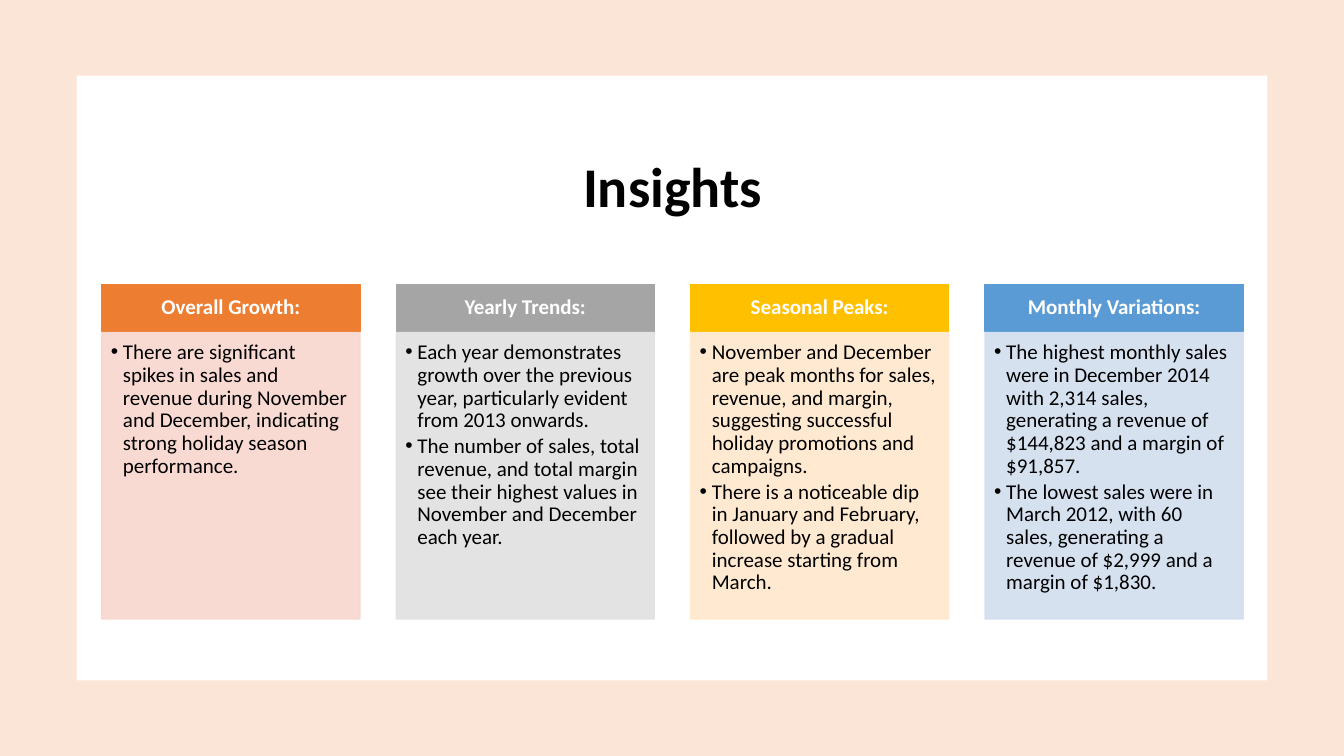
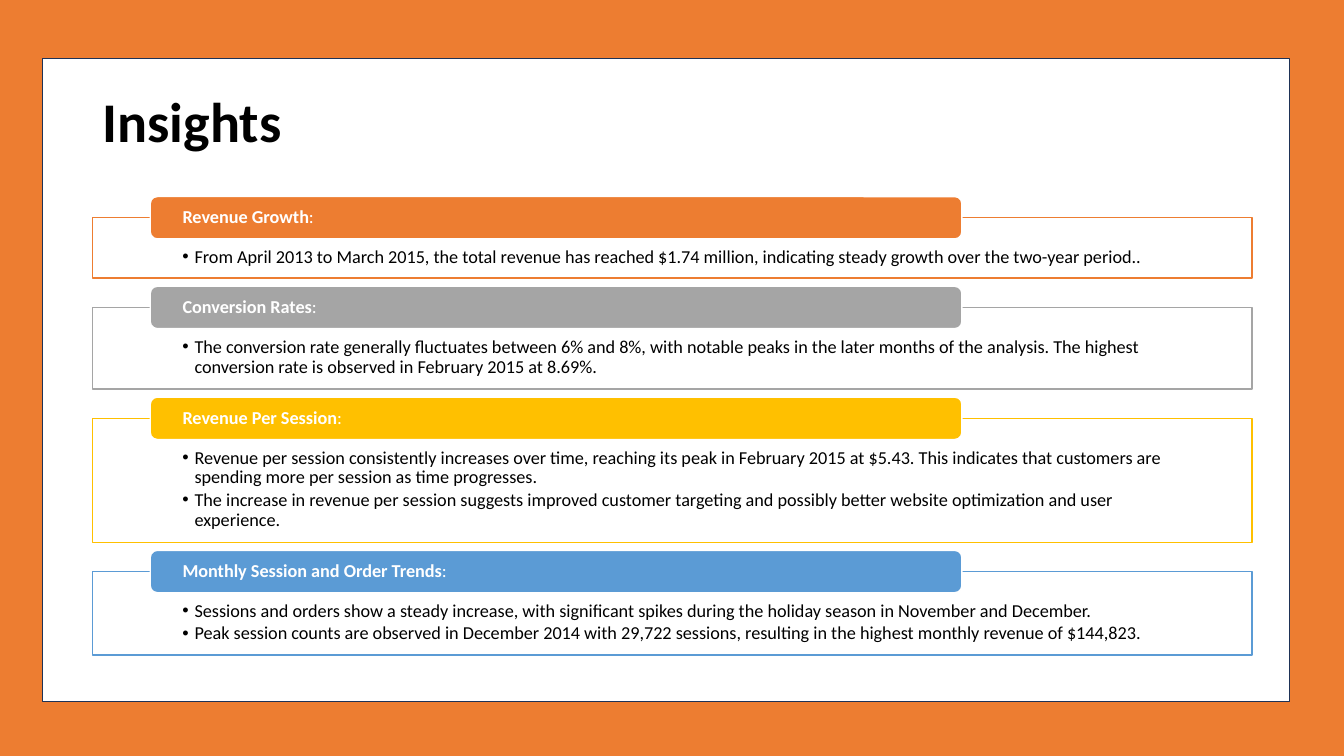
from lxml import etree
from pptx import Presentation
from pptx.dml.color import RGBColor
from pptx.enum.shapes import MSO_SHAPE
from pptx.enum.text import MSO_ANCHOR, PP_ALIGN
from pptx.oxml.ns import qn
from pptx.util import Inches, Pt

RECT, ROUNDED, FRAME = MSO_SHAPE.RECTANGLE, MSO_SHAPE.ROUNDED_RECTANGLE, MSO_SHAPE.FRAME
TOP, MIDDLE = MSO_ANCHOR.TOP, MSO_ANCHOR.MIDDLE
LEFT, CENTER = PP_ALIGN.LEFT, PP_ALIGN.CENTER

WHITE, BLACK, NAVY, PEACH = "FFFFFF", "000000", "1E3256", "FBE5D6"
ORANGE, GRAY, GOLD, BLUE = "ED7D31", "A5A5A5", "FFC000", "5B9BD5"

TRENDS = [
    ("Overall Growth:", ORANGE, "F8D7CE", [
        "There are significant spikes in sales and revenue during November and December, "
        "indicating strong holiday season performance."]),
    ("Yearly Trends:", GRAY, "E1E1E1", [
        "Each year demonstrates growth over the previous year, particularly evident from 2013 onwards.",
        "The number of sales, total revenue, and total margin see their highest values in "
        "November and December each year."]),
    ("Seasonal Peaks:", GOLD, "FFE8CC", [
        "November and December are peak months for sales, revenue, and margin, suggesting "
        "successful holiday promotions and campaigns.",
        "There is a noticeable dip in January and February, followed by a gradual increase "
        "starting from March."]),
    ("Monthly Variations:", BLUE, "D2DEEF", [
        "The highest monthly sales were in December 2014 with 2,314 sales, generating a "
        "revenue of $144,823 and a margin of $91,857.",
        "The lowest sales were in March 2012, with 60 sales, generating a revenue of $2,999 "
        "and a margin of $1,830."]),
]

FINDINGS = [
    ("Revenue Growth", ORANGE, 0.6, [
        "From April 2013 to March 2015, the total revenue has reached $1.74 million, "
        "indicating steady growth over the two-year period.."]),
    ("Conversion Rates", GRAY, 0.81, [
        "The conversion rate generally fluctuates between 6% and 8%, with notable peaks in "
        "the later months of the analysis. The highest conversion rate is observed in "
        "February 2015 at 8.69%."]),
    ("Revenue Per Session", GOLD, 1.23, [
        "Revenue per session consistently increases over time, reaching its peak in February "
        "2015 at $5.43. This indicates that customers are spending more per session as time "
        "progresses.",
        "The increase in revenue per session suggests improved customer targeting and "
        "possibly better website optimization and user experience."]),
    ("Monthly Session and Order Trends", BLUE, 0.83, [
        "Sessions and orders show a steady increase, with significant spikes during the "
        "holiday season in November and December.",
        "Peak session counts are observed in December 2014 with 29,722 sessions, resulting "
        "in the highest monthly revenue of $144,823."]),
]


def rgb(code):
    return RGBColor.from_string(code)


def apply_format(target, values):
    for name, value in values.items():
        setattr(target, name, value)


class Deck:
    FONT = "Calibri"
    BULLET_INDENT = Inches(0.12)

    def __init__(self):
        self.prs = Presentation()
        apply_format(self.prs, {"slide_width": Inches(13.33), "slide_height": Inches(7.5)})

    def new_slide(self):
        self.slide = self.prs.slides.add_slide(self.prs.slide_layouts[6])

    def block(self, kind, left, top, width, height, fill, line=None, opacity=None):
        shape = self.slide.shapes.add_shape(
            kind, Inches(left), Inches(top), Inches(width), Inches(height))
        shape.shadow.inherit = False
        shape.fill.solid()
        shape.fill.fore_color.rgb = rgb(fill)
        if line:
            shape.line.color.rgb = rgb(line)
            shape.line.width = Pt(1)
        else:
            shape.line.fill.background()
        if opacity:
            for color in shape.element.spPr.iter(qn("a:srgbClr")):
                etree.SubElement(color, qn("a:alpha"), val=str(opacity * 1000))
        return shape

    def set_text(self, shape, paragraphs, size, color, insets, anchor=MIDDLE, align=LEFT,
                 after=0, bullets=False):
        frame = shape.text_frame
        sides = ("margin_left", "margin_top", "margin_right", "margin_bottom")
        apply_format(frame, {"word_wrap": True, "vertical_anchor": anchor,
                             **dict(zip(sides, map(Inches, insets)))})
        for index, runs in enumerate(paragraphs):
            paragraph = frame.add_paragraph() if index else frame.paragraphs[0]
            apply_format(paragraph, {"alignment": align, "line_spacing": 0.9,
                                     "space_after": Pt(after)})
            if bullets:
                self.add_bullet(paragraph)
            for text, bold in runs:
                run = paragraph.add_run()
                run.text = text
                apply_format(run.font, {"name": self.FONT, "size": Pt(size), "bold": bold})
                run.font.color.rgb = rgb(color)

    def add_bullet(self, paragraph):
        paragraph.level = 1
        properties = paragraph._p.get_or_add_pPr()
        properties.set("marL", str(self.BULLET_INDENT))
        properties.set("indent", str(-self.BULLET_INDENT))
        etree.SubElement(properties, qn("a:buFont"), typeface="Arial")
        etree.SubElement(properties, qn("a:buChar"), char="•")

    def title(self, text, left, top, width, height, align):
        box = self.slide.shapes.add_textbox(
            Inches(left), Inches(top), Inches(width), Inches(height))
        self.set_text(box, [[(text, True)]], 40, BLACK, (0.1, 0.05, 0.1, 0.05),
                      align=align, after=6)

    def bullets(self, shape, points, size, insets):
        self.set_text(shape, [[(point, False)] for point in points], size, BLACK, insets,
                      anchor=TOP, after=size * 0.15, bullets=True)

    def column(self, left, heading, accent, tint, points):
        header = self.block(RECT, left, 2.82, 2.56, 0.47, accent, accent)
        self.set_text(header, [[(heading, True)]], 15, WHITE, (0.12, 0.07, 0.12, 0.07),
                      align=CENTER)
        body = self.block(RECT, left, 3.3, 2.56, 2.84, tint, tint, opacity=90)
        self.bullets(body, points, 15, (0.09, 0.09, 0.12, 0.13))

    def finding(self, top, height, heading, accent, points):
        body = self.block(RECT, 0.92, top, 11.5, height, WHITE, accent)
        self.bullets(body, points, 13, (0.89, 0.3, 0.89, 0.1))
        tab = self.block(ROUNDED, 1.49, top - 0.21, 8.05, 0.42, accent, WHITE)
        self.set_text(tab, [[(heading, True), (":", False)]], 13, WHITE, (0.3, 0, 0.3, 0))


def build_trends(deck):
    deck.new_slide()
    deck.block(RECT, 0, 0, 13.33, 7.5, PEACH)
    deck.block(RECT, 0.76, 0.75, 11.81, 6, WHITE)
    deck.title("Insights", 1.59, 1.13, 10.16, 1.5, CENTER)
    for index, trend in enumerate(TRENDS):
        deck.column(1.01 + index * 2.92, *trend)


def build_findings(deck):
    deck.new_slide()
    deck.title("Insights", 0.92, 0.61, 11.5, 1.24, LEFT)
    top, gap = 2.16, 0.29
    for heading, accent, height, points in FINDINGS:
        deck.finding(top, height, heading, accent, points)
        top += height + gap
    deck.block(FRAME, -0.64, -0.48, 14.49, 8.5, ORANGE, NAVY)


def main():
    deck = Deck()
    build_trends(deck)
    build_findings(deck)
    deck.prs.save("out.pptx")


if __name__ == "__main__":
    main()
